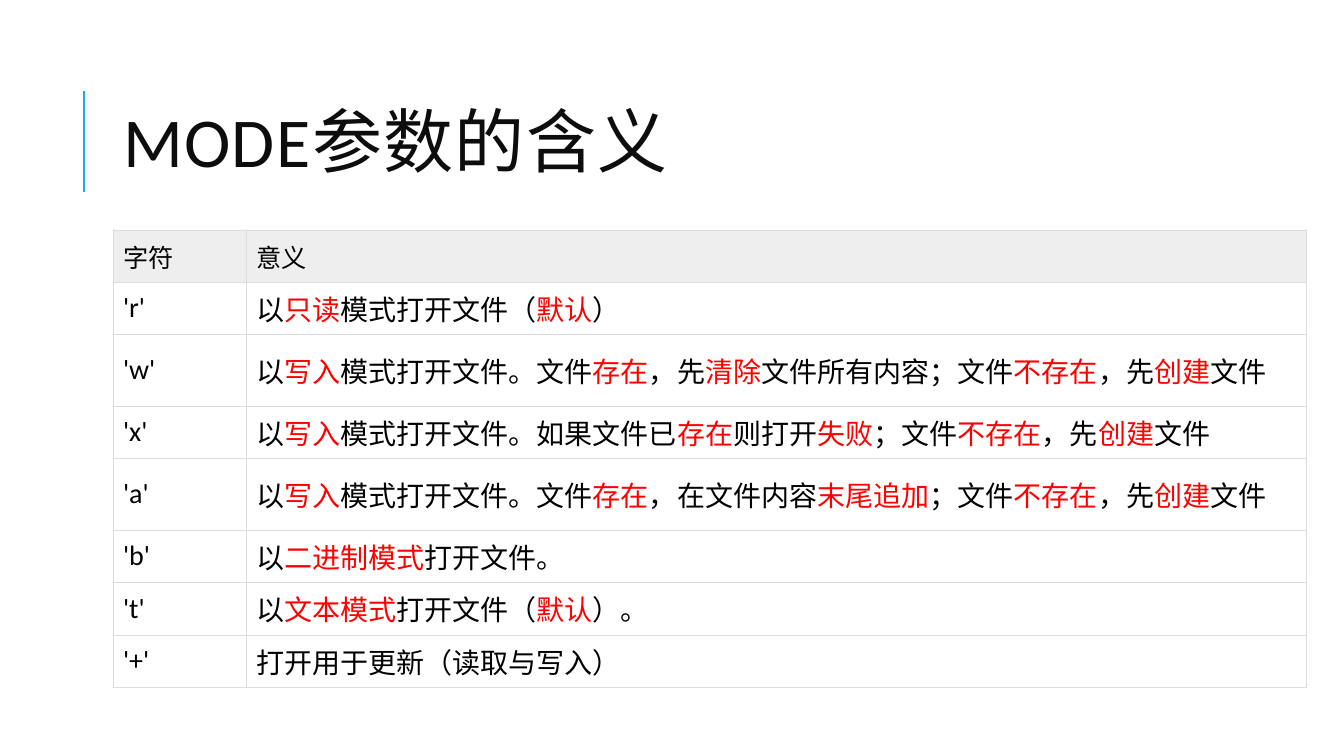
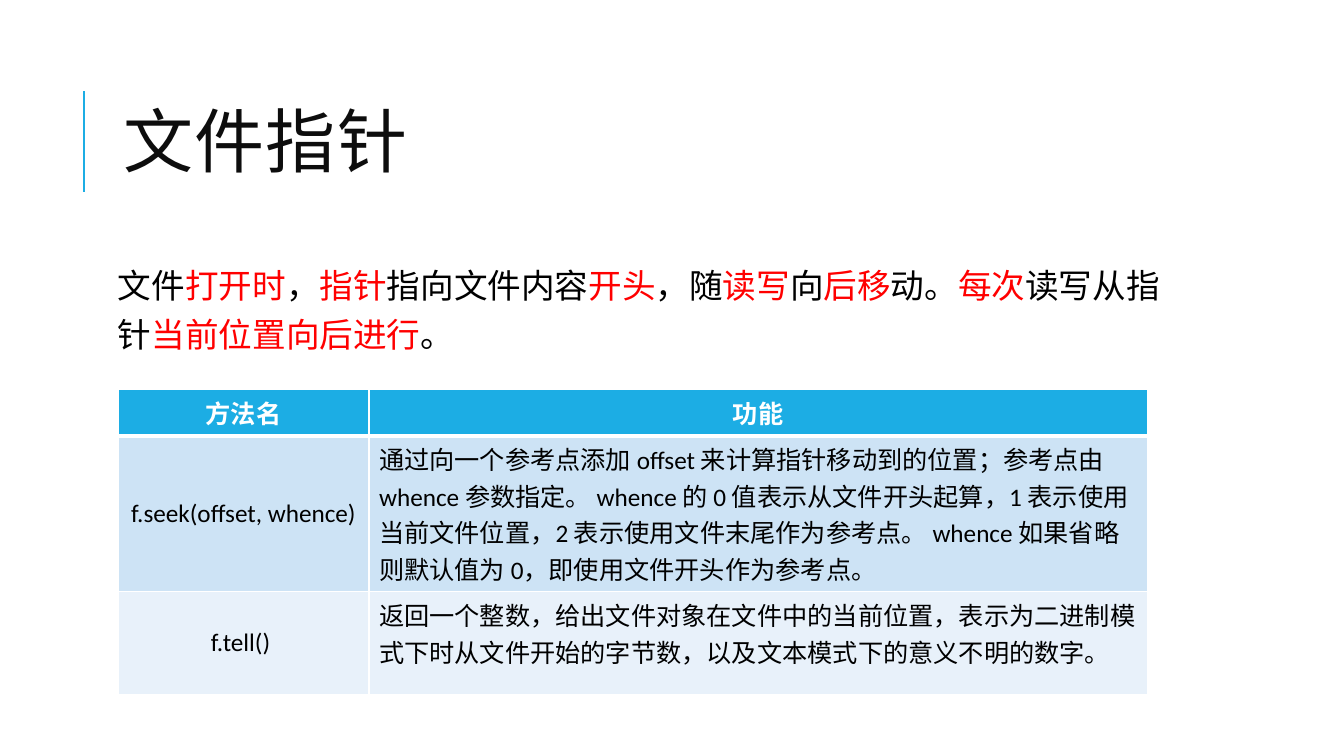
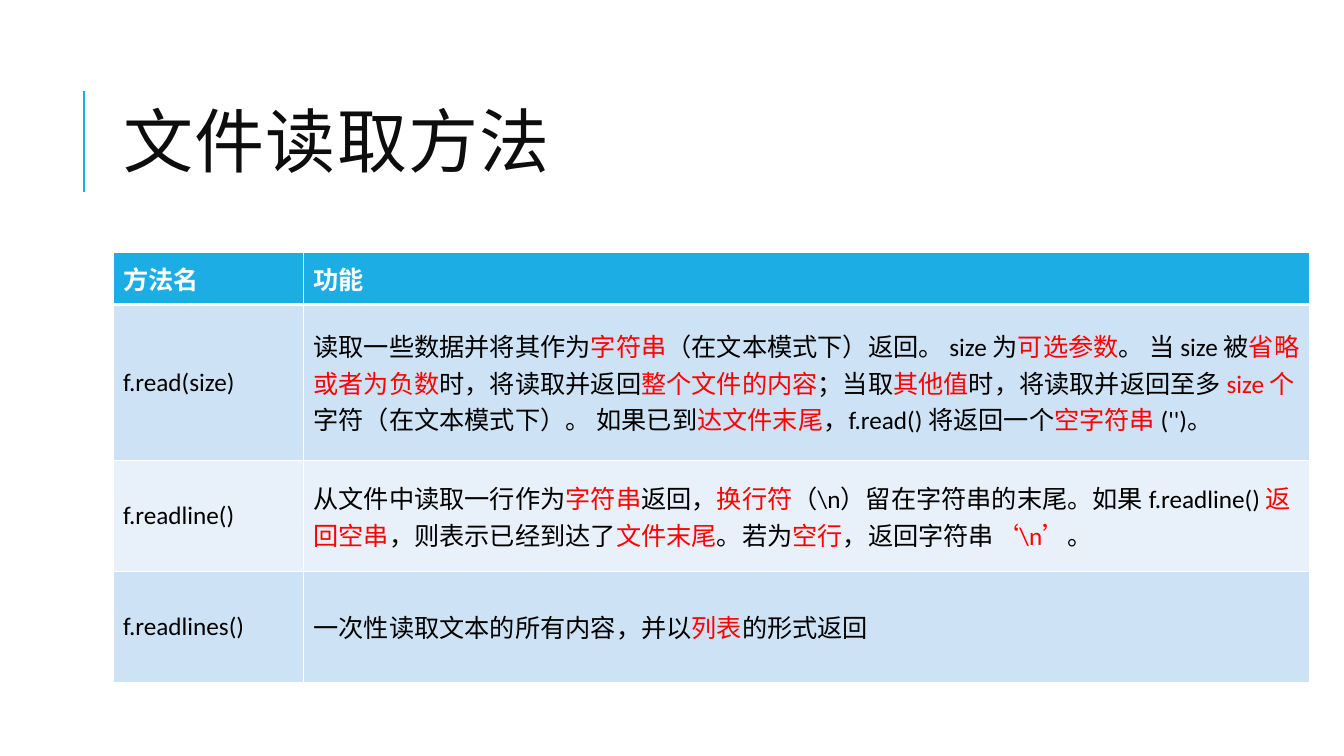
"""Build three slides on opening files, the file pointer and reading methods."""
import dataclasses

import lxml.etree
import pptx
import pptx.dml.color
import pptx.enum.shapes
import pptx.enum.text
import pptx.oxml
import pptx.oxml.ns
import pptx.util

Inches = pptx.util.Inches
Align = pptx.enum.text.PP_ALIGN
Anchor = pptx.enum.text.MSO_ANCHOR
qn = pptx.oxml.ns.qn


@dataclasses.dataclass(frozen=True)
class Theme:
    accent: str = "1CADE4"
    title: str = "0D0D0D"
    text: str = "000000"
    emphasis: str = "FF0000"
    white: str = "FFFFFF"
    grid: str = "DDDDDD"
    header_grey: str = "EEEEEE"
    bands: tuple = ("CDE3F5", "E8F1FA")
    latin: str = "Calibri"
    chinese: str = "Noto Sans CJK SC"
    title_size: int = 50
    body_size: int = 24
    large_cell_size: int = 20
    cell_size: int = 18


@dataclasses.dataclass(frozen=True)
class TableLook:
    header_fill: str
    header_text: str
    header_bold: bool
    bands: tuple
    border: str
    border_width: float
    header_rule: float
    cell_size: int


THEME = Theme()
PLAIN = TableLook(THEME.header_grey, THEME.text, False, (THEME.white,),
                  THEME.grid, 0.5, 0.5, THEME.large_cell_size)
BANDED = TableLook(THEME.accent, THEME.white, True, THEME.bands,
                   THEME.white, 1, 3, THEME.cell_size)


class Deck:
    def __init__(self, theme):
        self.theme = theme
        self.presentation = pptx.Presentation()
        self.presentation.slide_width = Inches(13.33)
        self.presentation.slide_height = Inches(7.5)
        self.slide = None

    def add_slide(self, title, layout=5):
        self.slide = self.presentation.slides.add_slide(
            self.presentation.slide_layouts[layout])
        self.add_title_rule()
        shape = self.slide.shapes.title
        self.place(shape, 1.12, 0.64, 10.63, 1.64)
        shape.text_frame.vertical_anchor = Anchor.MIDDLE
        paragraph = self.fill_text(shape.text_frame, title,
                                   self.theme.title_size, self.theme.title)
        paragraph.line_spacing = 0.8
        paragraph.font._rPr.set("spc", "100")

    def add_title_rule(self):
        rule = self.slide.shapes.add_connector(
            pptx.enum.shapes.MSO_CONNECTOR.STRAIGHT,
            Inches(0.83), Inches(1.9), Inches(0.83), Inches(0.9))
        rule.line.color.rgb = self.color(self.theme.accent)
        rule.line.width = pptx.util.Pt(1.5)
        lxml.etree.SubElement(rule._element.spPr, qn("a:effectLst"))

    def add_body(self, text, left, top, width, height):
        shape = self.slide.placeholders[1]
        self.place(shape, left, top, width, height)
        frame = shape.text_frame
        frame.margin_left = frame.margin_right = Inches(0.05)
        frame.margin_top = frame.margin_bottom = Inches(0.05)
        paragraph = self.fill_text(frame, text, self.theme.body_size,
                                   self.theme.text, latin=self.theme.chinese)
        paragraph.line_spacing = 1.2
        paragraph.space_before = pptx.util.Pt(2)
        paragraph.space_after = pptx.util.Pt(4)
        properties = paragraph._p.get_or_add_pPr()
        properties.set("marL", "0")
        properties.set("indent", "0")
        bullet = properties.makeelement(qn("a:buNone"))
        properties.find(qn("a:defRPr")).addprevious(bullet)

    def add_table(self, left, top, widths, heights, rows, look,
                  alignments, anchors):
        shape = self.slide.shapes.add_table(
            len(rows), len(widths), Inches(left), Inches(top),
            Inches(sum(widths)), Inches(sum(heights)))
        table = shape.table
        table.first_row = table.horz_banding = False
        for column, width in zip(table.columns, widths):
            column.width = Inches(width)
        for index, (row, height) in enumerate(zip(table.rows, heights)):
            row.height = Inches(height)
            header = index == 0
            fill = (look.header_fill if header
                    else look.bands[(index - 1) % len(look.bands)])
            for column, text in enumerate(rows[index]):
                role = 0 if header else column + 1
                cell = table.cell(index, column)
                cell.fill.solid()
                cell.fill.fore_color.rgb = self.color(fill)
                cell.vertical_anchor = anchors[role]
                paragraph = self.fill_text(
                    cell.text_frame, text,
                    self.theme.cell_size if header else look.cell_size,
                    look.header_text if header else self.theme.text,
                    bold=header and look.header_bold)
                paragraph.alignment = alignments[role]
                self.set_borders(cell, look, index)

    def set_borders(self, cell, look, row):
        widths = {
            "L": look.border_width,
            "R": look.border_width,
            "T": look.header_rule if row == 1 else look.border_width,
            "B": look.header_rule if row == 0 else look.border_width,
        }
        properties = cell._tc.get_or_add_tcPr()
        for position, (side, width) in enumerate(widths.items()):
            line = properties.makeelement(
                qn(f"a:ln{side}"), {"w": str(pptx.util.Pt(width))})
            fill = lxml.etree.SubElement(line, qn("a:solidFill"))
            lxml.etree.SubElement(fill, qn("a:srgbClr"), val=look.border)
            properties.insert(position, line)

    def fill_text(self, frame, text, size, color, bold=False, latin=None):
        frame.word_wrap = True
        frame.auto_size = pptx.enum.text.MSO_AUTO_SIZE.NONE
        paragraph = frame.paragraphs[0]
        paragraph.alignment = Align.LEFT
        paragraph.font.size = pptx.util.Pt(size)
        paragraph.font.bold = bold
        paragraph.font.name = latin or self.theme.latin
        lxml.etree.SubElement(paragraph.font._rPr, qn("a:ea"),
                              typeface=self.theme.chinese)
        for index, part in enumerate(text.split("|")):
            if part:
                run = paragraph.add_run()
                run.text = part
                run.font.color.rgb = self.color(
                    self.theme.emphasis if index % 2 else color)
        return paragraph

    @staticmethod
    def color(value):
        return pptx.dml.color.RGBColor.from_string(value)

    @staticmethod
    def place(shape, left, top, width, height):
        shape.left, shape.top = Inches(left), Inches(top)
        shape.width, shape.height = Inches(width), Inches(height)


MODES = [
    ("字符", "意义"),
    ("'r'", "以|只读|模式打开文件（|默认|）"),
    ("'w'", "以|写入|模式打开文件。文件|存在|，先|清除|文件所有内容；"
            "文件|不存在|，先|创建|文件"),
    ("'x'", "以|写入|模式打开文件。如果文件已|存在|则打开|失败|；"
            "文件|不存在|，先|创建|文件"),
    ("'a'", "以|写入|模式打开文件。文件|存在|，在文件内容|末尾追加|；"
            "文件|不存在|，先|创建|文件"),
    ("'b'", "以|二进制模式|打开文件。"),
    ("'t'", "以|文本模式|打开文件（|默认|）。"),
    ("'+'", "打开用于更新（读取与写入）"),
]

POINTER_METHODS = [
    ("方法名", "功能"),
    ("f.seek(offset, whence)",
     "通过向一个参考点添加 offset 来计算指针移动到的位置；"
     "参考点由 whence 参数指定。 whence 的 0 值表示从文件开头起算，"
     "1 表示使用当前文件位置，2 表示使用文件末尾作为参考点。 "
     "whence 如果省略则默认值为 0，即使用文件开头作为参考点。"),
    ("f.tell() ",
     "返回一个整数，给出文件对象在文件中的当前位置，"
     "表示为二进制模式下时从文件开始的字节数，"
     "以及文本模式下的意义不明的数字。"),
]

READ_METHODS = [
    ("方法名", "功能"),
    ("f.read(size)",
     "读取一些数据并将其作为|字符串|（在文本模式下）返回。 size 为|可选参数|。 "
     "当 size 被|省略或者为负数|时，将读取并返回|整个文件的内容|；"
     "当取|其他值|时，将读取并返回至多 |size 个|字符（在文本模式下）。 "
     "如果已到|达文件末尾|，f.read() 将返回一个|空字符串 |('')。"),
    ("f.readline()",
     "从文件中读取一行作为|字符串|返回，|换行符|（\\n）留在字符串的末尾。"
     "如果 f.readline() |返回空串|，则表示已经到达了|文件末尾|。"
     "若为|空行|，返回字符串|‘\\n’|。"),
    ("f.readlines()", "一次性读取文本的所有内容，并以|列表|的形式返回"),
]


def main():
    deck = Deck(THEME)

    deck.add_slide("MODE参数的含义")
    heights = [0.71 if row[0] in ("'w'", "'a'") else 0.52 for row in MODES]
    deck.add_table(1.12, 2.28, (1.32, 10.52), heights, MODES, PLAIN,
                   (Align.JUSTIFY,) * 3, (Anchor.MIDDLE,) * 3)

    deck.add_slide("文件指针", layout=1)
    deck.add_body("文件|打开时|，|指针|指向文件内容|开头|，随|读写|向|后移|动。"
                  "|每次|读写从指针|当前位置向后进行|。",
                  1.12, 2.5, 10.63, 1.14)
    deck.add_table(1.17, 3.86, (2.49, 7.72), (0.43, 1.02, 1.02),
                   POINTER_METHODS, BANDED,
                   (Align.CENTER, Align.CENTER, Align.LEFT),
                   (Anchor.TOP, Anchor.MIDDLE, Anchor.TOP))

    deck.add_slide("文件读取方法")
    deck.add_table(1.12, 2.5, (1.89, 9.98), (0.52, 1.1, 1.1, 1.1),
                   READ_METHODS, BANDED,
                   (Align.LEFT,) * 3, (Anchor.MIDDLE,) * 3)

    deck.presentation.save("out.pptx")


if __name__ == "__main__":
    main()
